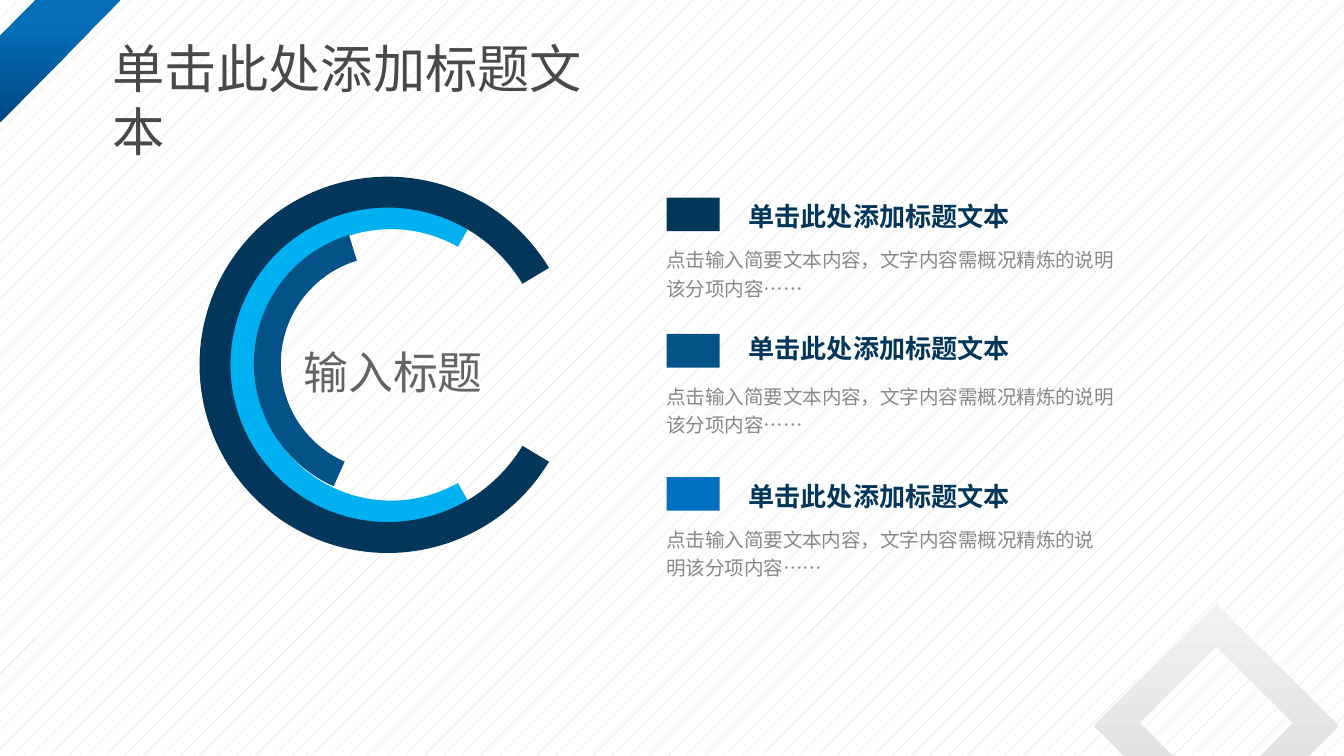
import dataclasses

import pptx
import pptx.dml.color
import pptx.enum.dml
import pptx.enum.shapes
import pptx.enum.text
import pptx.util

RGBColor = pptx.dml.color.RGBColor
Shapes = pptx.enum.shapes.MSO_SHAPE

NAVY = RGBColor(0x02, 0x37, 0x5B)
BLUE = RGBColor(0x03, 0x53, 0x88)
BRIGHT_BLUE = RGBColor(0x00, 0x70, 0xC0)
SKY = RGBColor(0x00, 0xB0, 0xF0)
STRIPE_TOP = RGBColor(0x04, 0x6F, 0xB6)
STRIPE_BOTTOM = RGBColor(0x00, 0x47, 0x85)
PALE_GRAY = RGBColor(0xF2, 0xF2, 0xF2)
LIGHT_GRAY = RGBColor(0xD9, 0xD9, 0xD9)
WHITE = RGBColor(0xFF, 0xFF, 0xFF)
TITLE_GRAY = RGBColor(0x47, 0x49, 0x4B)
LABEL_GRAY = RGBColor(0x62, 0x64, 0x67)
BODY_GRAY = RGBColor(0x85, 0x89, 0x8C)

WIDTH = pptx.util.Inches(10)
HEIGHT = WIDTH * 9 // 16
CELL = WIDTH / 100
FINE = 100

TITLE_FORMAT = {"name": "Noto Sans CJK JP", "size": pptx.util.Pt(28), "bold": False}
LABEL_FORMAT = {"name": "Arial", "size": pptx.util.Pt(24)}
HEADING_FORMAT = {"name": "Arial", "size": pptx.util.Pt(14), "bold": True}
BODY_FORMAT = {"name": "Arial", "size": pptx.util.Pt(10.5)}

HEADING = "单击此处添加标题文本"
BODY = "点击输入简要文本内容，文字内容需概况精炼的说明该分项内容……"


@dataclasses.dataclass
class Box:
    left: float
    top: float
    width: float
    height: float

    def inner(self, left, top, width, height):
        return Box(self.left + left, self.top + top, width, height)

    def lengths(self):
        return [round(value * CELL) for value in dataclasses.astuple(self)]


def finish(shape, color=None):
    shape.shadow.inherit = False
    shape.line.fill.background()
    if color is not None:
        shape.fill.solid()
        shape.fill.fore_color.rgb = color
    return shape


def shade_down(shape, stops):
    shape.fill.gradient()
    shape.fill.gradient_angle = 270
    for stop, (position, color) in zip(shape.fill.gradient_stops, stops):
        stop.position = position
        stop.color.rgb = color


def write(shape, text, formats, color, spacing=None):
    frame = shape.text_frame
    frame.word_wrap = True
    frame.auto_size = pptx.enum.text.MSO_AUTO_SIZE.NONE
    frame.vertical_anchor = pptx.enum.text.MSO_ANCHOR.TOP
    paragraph = frame.paragraphs[0]
    paragraph.alignment = pptx.enum.text.PP_ALIGN.LEFT
    if spacing:
        paragraph.line_spacing = spacing
    run = paragraph.add_run()
    run.text = text
    for name, value in formats.items():
        setattr(run.font, name, value)
    run.font.color.rgb = color


def add_text(slide, box, *content):
    write(slide.shapes.add_textbox(*box.lengths()), *content)


def set_background(slide):
    fill = slide.background.fill
    fill.patterned()
    fill.pattern = pptx.enum.dml.MSO_PATTERN.PERCENT_5
    fill.fore_color.rgb = LIGHT_GRAY
    fill.back_color.rgb = WHITE


def add_diamond_frame(slide, box):
    center_x = box.left + box.width / 2
    center_y = box.top + box.height / 2

    def corners(center_y, radius, turn):
        points = [(center_x, center_y - radius), (center_x + turn * radius, center_y),
                  (center_x, center_y + radius), (center_x - turn * radius, center_y)]
        return [(x * FINE, y * FINE) for x, y in points]

    outer = corners(center_y, box.width / 2, 1)
    hole = corners(center_y - 0.2, box.width * 0.315, -1)
    builder = slide.shapes.build_freeform(*outer[0], scale=CELL / FINE)
    builder.add_line_segments(outer[1:], close=True)
    builder.move_to(*hole[0])
    builder.add_line_segments(hole[1:], close=True)
    shape = finish(builder.convert_to_shape())
    shade_down(shape, [(0, PALE_GRAY), (1, LIGHT_GRAY)])


def add_corner_stripe(slide, box):
    shape = finish(slide.shapes.add_shape(Shapes.DIAGONAL_STRIPE, *box.lengths()))
    shape.adjustments[0] = 0.292
    shade_down(shape, [(0.2, STRIPE_TOP), (1, STRIPE_BOTTOM)])


def add_title(slide, box):
    title = slide.shapes.title
    for name, value in zip(("left", "top", "width", "height"), box.lengths()):
        setattr(title, name, value)
    write(title, HEADING, TITLE_FORMAT, TITLE_GRAY)


def add_ring(slide, box, center, radius, thickness, start, end, color):
    area = box.inner(center[0] - radius, center[1] - radius, 2 * radius, 2 * radius)
    ring = finish(slide.shapes.add_shape(Shapes.BLOCK_ARC, *area.lengths()), color)
    ring.adjustments[0] = start * 0.6
    ring.adjustments[1] = end * 0.6
    ring.adjustments[2] = thickness / (2 * radius)


def add_ring_chart(slide, box):
    rings = [
        ((14.3, 13.95), 12.1, 2, 60.5, 299.5, SKY),
        ((14.1, 13.85), 10, 2, 114, 253, BLUE),
        ((14.05, 13.95), 14, 2.3, 31, 329, NAVY),
    ]
    for ring in rings:
        add_ring(slide, box, *ring)
    add_text(slide, box.inner(6.8, 11.95, 22.1, 5), "输入标题", LABEL_FORMAT, LABEL_GRAY)


def add_entry(slide, box, color, heading_top):
    swatch = box.inner(1, 0, 3.95, 2.5)
    finish(slide.shapes.add_shape(Shapes.RECTANGLE, *swatch.lengths()), color)
    add_text(slide, box.inner(0, 2.95, box.width, 5.3), BODY, BODY_FORMAT, BODY_GRAY, 1.2)
    add_text(slide, box.inner(6.1, heading_top, 22.1, 3.7), HEADING, HEADING_FORMAT, NAVY, 1.2)


def add_legend(slide, box):
    entries = [
        (0, 36.1, NAVY, -0.75),
        (10.15, 36.1, BLUE, -1.05),
        (20.8, 35.3, BRIGHT_BLUE, -0.7),
    ]
    for top, width, color, heading_top in entries:
        add_entry(slide, box.inner(0, top, width, 8.3), color, heading_top)


def main():
    presentation = pptx.Presentation()
    presentation.slide_width = WIDTH
    presentation.slide_height = HEIGHT
    slide = presentation.slides.add_slide(presentation.slide_layouts[5])
    set_background(slide)
    add_diamond_frame(slide, Box(81.4, 44.9, 18.2, 18.2))
    add_corner_stripe(slide, Box(0, 0, 9, 9.1))
    add_legend(slide, Box(48.6, 14.7, 36.1, 29.1))
    add_ring_chart(slide, Box(14.8, 13.2, 28, 28))
    add_title(slide, Box(7.35, 2.2, 40.6, 5.7))
    presentation.save("out.pptx")


if __name__ == "__main__":
    main()
